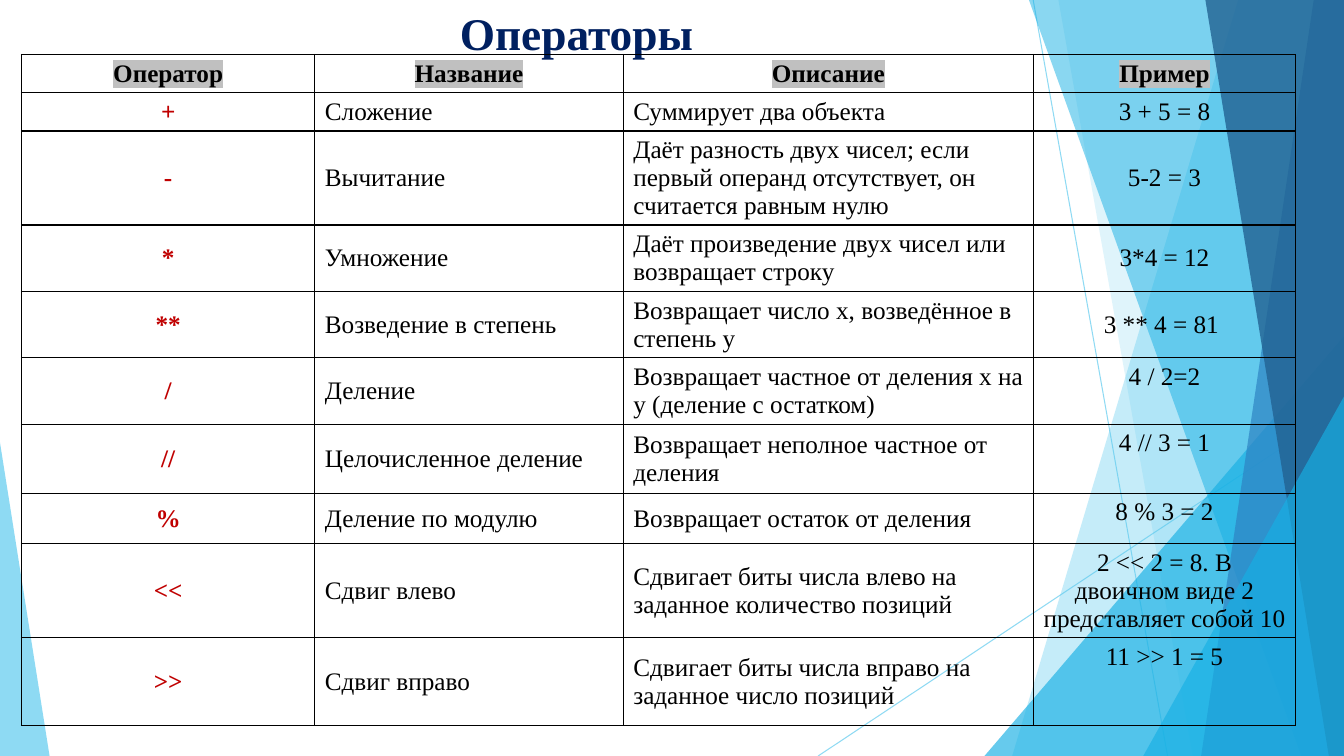
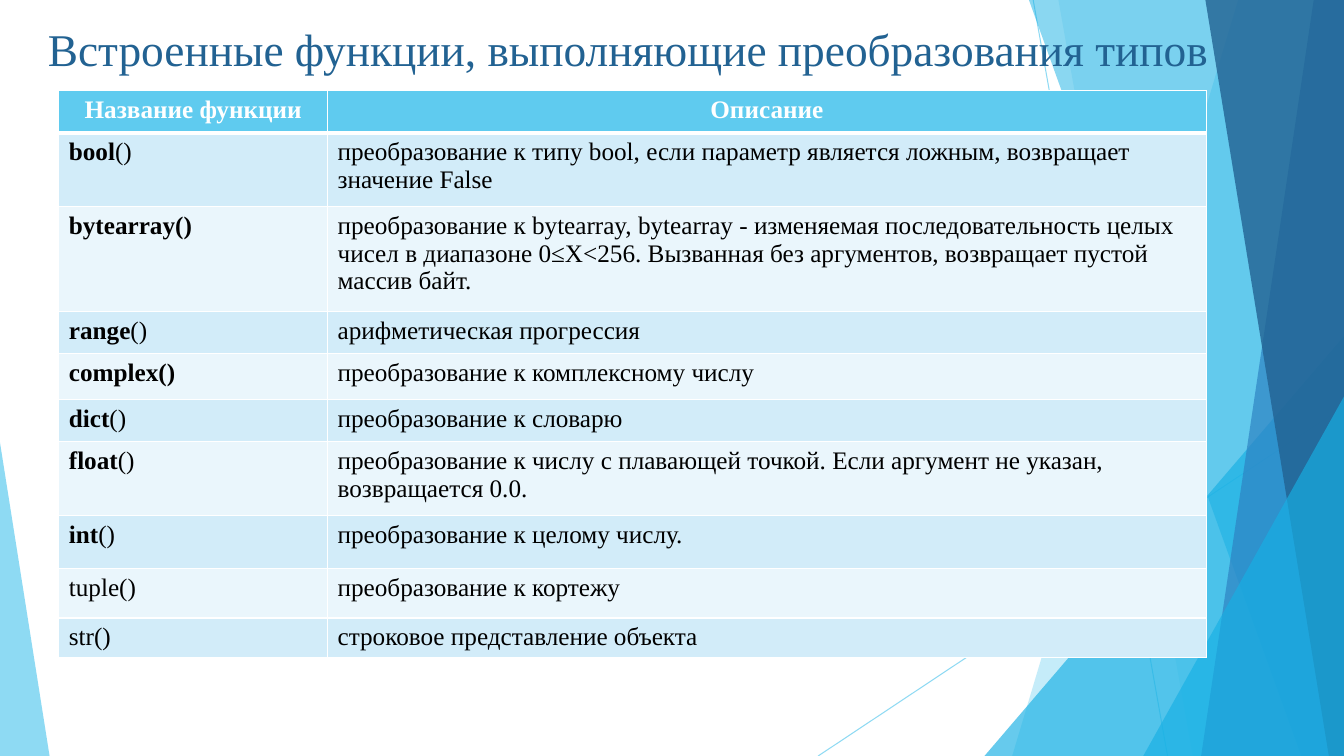
"""Two slides of operator and type conversion tables."""
from lxml import etree
from pptx import Presentation
from pptx import util as u
from pptx.dml.color import RGBColor
from pptx.enum import shapes, text
from pptx.oxml.ns import qn

FONT = "Times New Roman"
BLACK = RGBColor(0x00, 0x00, 0x00)
WHITE = RGBColor(0xFF, 0xFF, 0xFF)
GRAY = RGBColor(0xC0, 0xC0, 0xC0)
RED = RGBColor(0xC0, 0x00, 0x00)
NAVY = RGBColor(0x00, 0x20, 0x60)
SKY = RGBColor(0x5F, 0xCB, 0xEF)
CYAN = RGBColor(0x17, 0xB0, 0xE4)
BLUE = RGBColor(0x2E, 0x83, 0xC3)
DEEP = RGBColor(0x22, 0x62, 0x92)
PALE = RGBColor(0xD2, 0xEC, 0xF9)
LIGHT = RGBColor(0xEA, 0xF6, 0xFC)

COLS, ROWS = 80, 45  # grid of the slide, six cells to the inch
LEFT, MID = text.PP_ALIGN.LEFT, text.PP_ALIGN.CENTER
TOP, CORE = text.MSO_ANCHOR.TOP, text.MSO_ANCHOR.MIDDLE


def cell(num):
    """Turn grid cells into a length."""
    return u.Inches(num / 6)


def fade(item, share):
    """Set the opacity, in percent, of every plain colour in an item."""
    for tone in item._element.iter(qn("a:srgbClr")):
        etree.SubElement(tone, qn("a:alpha"), val=str(share * 1000))


def edge(box, side, tone, wide):
    """Draw one border of a table cell; side is L, R, T or B."""
    props = box._tc.get_or_add_tcPr()
    line = etree.Element(qn("a:ln" + side), w=str(u.Pt(wide)))
    fill = etree.SubElement(line, qn("a:solidFill"))
    etree.SubElement(fill, qn("a:srgbClr"), val=str(tone))
    props.insert("LRTB".index(side), line)


class Deck:
    """Holds the style and the current slide."""

    def __init__(self):
        """Start an empty deck of the right size."""
        self.file = Presentation()
        self.file.slide_width, self.file.slide_height = cell(COLS), cell(ROWS)
        self.slide = None

    def page(self, words, tone, place, bold=False):
        """Add a slide with its backdrop and title."""
        self.slide = self.file.slides.add_slide(self.file.slide_layouts[5])
        self.scene()
        title = self.slide.shapes.title
        self.slide.shapes._spTree.append(title._element)
        title.left, title.top, title.width, title.height = map(cell, place)
        frame = title.text_frame
        frame.auto_size = text.MSO_AUTO_SIZE.NONE
        frame.word_wrap = True
        frame.vertical_anchor = TOP
        frame.margin_top = cell(0.6)
        self.words(frame, [(words, bold)], tone, MID, 32.4)

    def scene(self):
        """Draw the lines, bands and triangles behind the content."""
        self.line(61.5, 0, 69.5, ROWS)
        self.line(COLS, 24.2, 48.7, ROWS)
        self.band(73.7, 60.25, SKY, 36)
        self.band(63, 71, SKY, 20)
        self.peak((58.6, 20, 21.4, 25), 1, CYAN, 66)
        self.band(61.25, 77.45, CYAN, 50)
        self.band(78.2, 71.5, BLUE, 70)
        self.band(71.75, 79.1, DEEP, 80)
        self.peak((68.05, 23.6, 11.95, 21.4), 1, CYAN, 66)
        self.peak((0, 26.35, 2.95, 18.65), 0, SKY, 70)

    def line(self, *ends):
        """Draw a thin line between two points."""
        kind = shapes.MSO_CONNECTOR.STRAIGHT
        line = self.slide.shapes.add_connector(kind, *map(cell, ends))
        line.line.color.rgb = SKY
        line.line.width = u.Pt(0.75)
        etree.SubElement(line._element.spPr, qn("a:effectLst"))
        fade(line, 70)

    def band(self, high, low, tone, share):
        """Fill from a slanted edge to the right side of the slide."""
        pen = self.slide.shapes.build_freeform(cell(high), 0)
        spots = [(COLS, 0), (COLS, ROWS), (low, ROWS)]
        pen.add_line_segments([(cell(x), cell(y)) for x, y in spots])
        self.paint(pen.convert_to_shape(), tone, share)

    def peak(self, place, tip, tone, share):
        """Add a triangle with its tip at a share of its width."""
        kind = shapes.MSO_SHAPE.ISOSCELES_TRIANGLE
        item = self.slide.shapes.add_shape(kind, *map(cell, place))
        item.adjustments[0] = tip
        self.paint(item, tone, share)

    def paint(self, item, tone, share):
        """Give a shape a clear fill without outline or shadow."""
        item.shadow.inherit = False
        item.fill.solid()
        item.fill.fore_color.rgb = tone
        item.line.fill.background()
        fade(item, share)

    def words(self, frame, runs, tone, align, size=18, mark=None):
        """Put (words, bold) runs into the first paragraph."""
        para = frame.paragraphs[0]
        para.alignment = align
        for words, bold in runs:
            run = para.add_run()
            run.text = words
            font = run.font
            font.name, font.size, font.bold = FONT, u.Pt(size), bold
            font.color.rgb = tone
            if mark is not None:
                glow = etree.Element(qn("a:highlight"))
                etree.SubElement(glow, qn("a:srgbClr"), val=str(mark))
                run._r.get_or_add_rPr().find(qn("a:solidFill")).addnext(glow)

    def table(self, left, top, wides, highs, rows, look, rim, head=1):
        """Add a table; look(row, col) gives fill, anchor and text style."""
        spot = map(cell, (left, top, sum(wides), sum(highs)))
        grid = self.slide.shapes.add_table(len(highs), len(wides), *spot).table
        grid.first_row = grid.horz_banding = False
        for col, wide in zip(grid.columns, wides):
            col.width = cell(wide)
        for row, high in zip(grid.rows, highs):
            row.height = cell(high)
        for r, row in enumerate(rows):
            for c, runs in enumerate(row):
                box = grid.cell(r, c)
                fill, anchor, style = look(r, c)
                box.vertical_anchor = anchor
                if fill is None:
                    box.fill.background()
                else:
                    box.fill.solid()
                    box.fill.fore_color.rgb = fill
                for side in "LRTB":
                    seam = (r, side) in ((0, "B"), (1, "T"))
                    edge(box, side, rim, head if seam else 1)
                self.words(box.text_frame, runs, **style)


def signs(r, c):
    """Style the cells of the operator table."""
    anchor = TOP if c == 3 and r > 4 else CORE
    if r == 0:
        return None, anchor, dict(tone=BLACK, align=MID, mark=GRAY)
    tone = RED if c == 0 else BLACK
    return None, anchor, dict(tone=tone, align=MID if c in (0, 3) else LEFT)


def casts(r, c):
    """Style the cells of the conversion table."""
    if r == 0:
        return SKY, TOP, dict(tone=WHITE, align=MID)
    return PALE if r % 2 else LIGHT, TOP, dict(tone=BLACK, align=LEFT)


OPS = [
    ("Оператор", "Название", "Описание", "Пример"),
    ("+", "Сложение", "Суммирует два объекта", "3 + 5 = 8"),
    ("-", "Вычитание", "Даёт разность двух чисел; если первый операнд "
     "отсутствует, он считается равным нулю", "5-2 = 3"),
    ("*", "Умножение", "Даёт произведение двух чисел или возвращает строку",
     "3*4 = 12"),
    ("**", "Возведение в степень",
     "Возвращает число х, возведённое в степень y", "3 ** 4 = 81 "),
    ("/", "Деление",
     "Возвращает частное от деления x на y (деление с остатком)", "4 / 2=2"),
    ("//", "Целочисленное деление",
     "Возвращает неполное частное от деления", "4 // 3 = 1"),
    ("%", "Деление по модулю", "Возвращает остаток от деления", "8 % 3 = 2"),
    ("<<", "Сдвиг влево",
     "Сдвигает биты числа влево на заданное количество позиций",
     "2 << 2 = 8. В двоичном виде 2 представляет собой 10"),
    (">>", "Сдвиг вправо",
     "Сдвигает биты числа вправо на заданное число позиций", "11 >> 1 = 5"),
]

# bold part of the name, plain part of the name, meaning
FUNCS = [
    ("bool", "() ", "преобразование к типу bool, если параметр является "
     "ложным, возвращает значение False"),
    ("bytearray()", "", "преобразование к bytearray, bytearray - изменяемая "
     "последовательность целых чисел в диапазоне 0≤X<256. Вызванная без "
     "аргументов, возвращает пустой массив байт."),
    ("range", "()", "арифметическая прогрессия"),
    ("complex()", "", "преобразование к комплексному числу"),
    ("dict", "()", "преобразование к словарю"),
    ("float", "() ", "преобразование к числу с плавающей точкой. "
     "Если аргумент не указан, возвращается 0.0."),
    ("int", "()", "преобразование к целому числу."),
    ("", "tuple()", "преобразование к кортежу"),
    ("", "str()", "строковое представление объекта"),
]


def main():
    """Build both slides and save them."""
    deck = Deck()
    deck.page("Операторы ", NAVY, (6.2, -0.3, 56.9, 2.6), bold=True)
    rows = [[[(words, r == 0 or c == 0)] for c, words in enumerate(row)]
            for r, row in enumerate(OPS)]
    deck.table(1.28, 3.24, [17.46, 18.36, 24.42, 15.6],
               [2.28, 2.28, 5.6, 3.95, 3.95, 3.95, 4.12, 3, 5.6, 5.2],
               rows, signs, BLACK)

    deck.page("Встроенные функции, выполняющие преобразования типов", DEEP,
              (1.3, 0.65, 72.2, 4))
    rows = [[[("Название функции", True)], [("Описание", True)]]]
    for bold, plain, sense in FUNCS:
        name = [part for part in ((bold, True), (plain, False)) if part[0]]
        rows.append([name, [(sense, False)]])
    deck.table(3.5, 5.4, [16, 52.3],
               [2.5, 4.4, 6.25, 2.5, 2.75, 2.5, 4.4, 3.15, 2.95, 2.35],
               rows, casts, WHITE, head=3)
    deck.file.save("out.pptx")


main()
